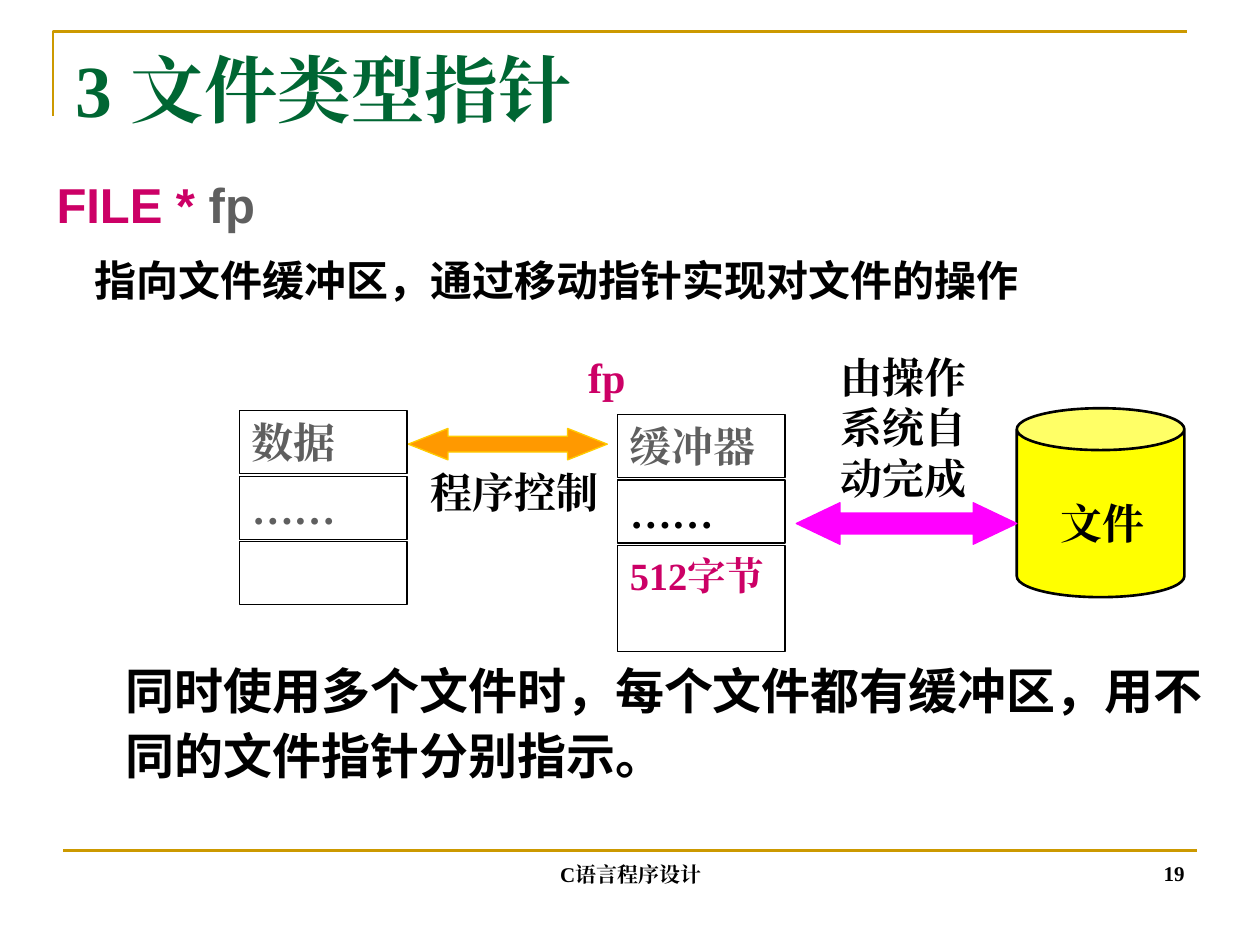
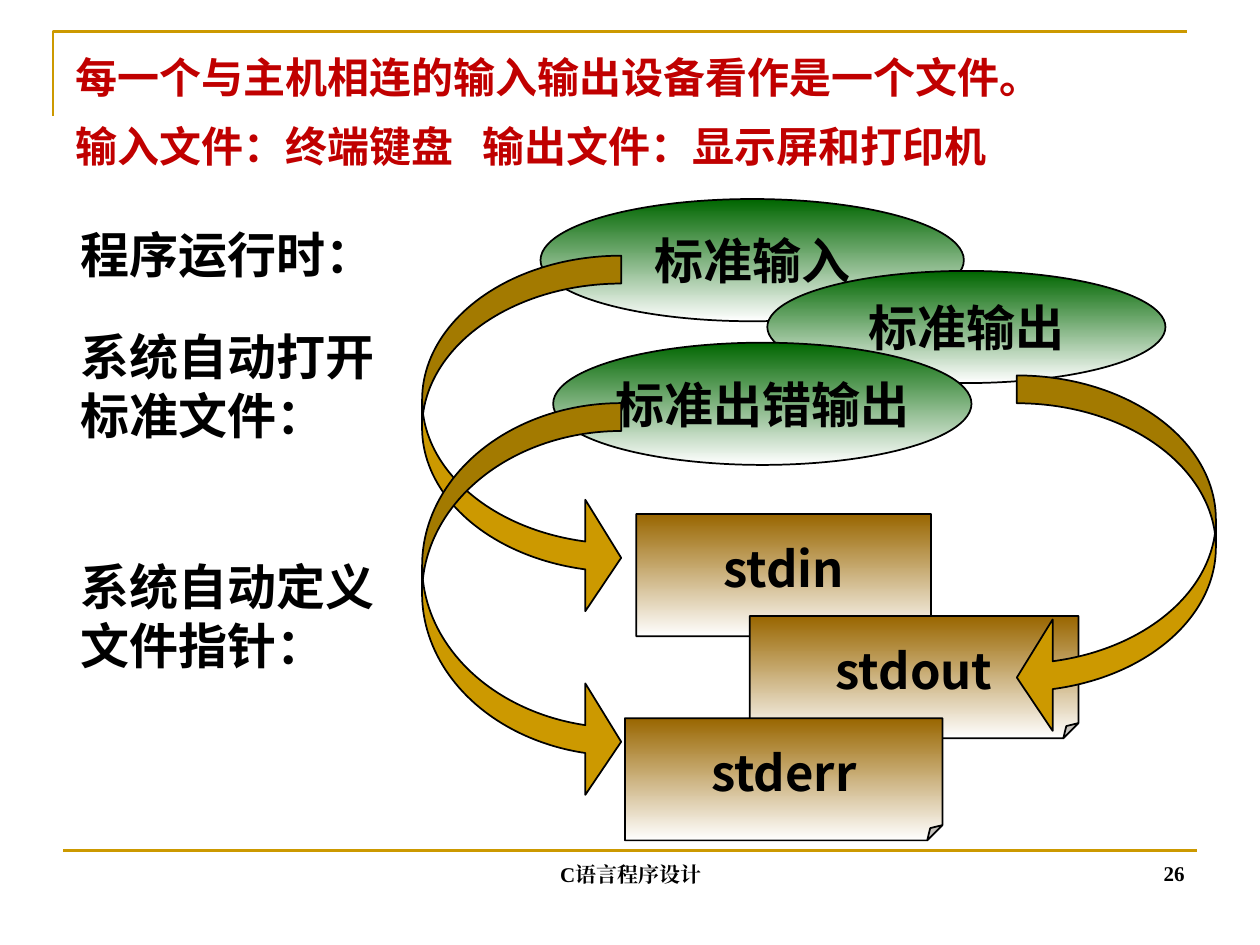
from lxml.etree import SubElement
from pptx import Presentation
from pptx.dml.color import RGBColor
from pptx.enum.shapes import MSO_SHAPE
from pptx.enum.text import MSO_ANCHOR, MSO_AUTO_SIZE, PP_ALIGN
from pptx.oxml.ns import qn
from pptx.util import Inches, Pt

GOLD, GREEN, PINK, GREY, BLACK = "CC9900", "006633", "CC0066", "5F5F5F", "000000"
RED, YELLOW, ORANGE, AMBER, MAGENTA = "C00000", "FFFF00", "FF9900", "FFCC00", "FF00FF"
ELLIPSE_GREEN, NOTE_BROWN = "006600", "996600"
SERIF, SANS, CJK = "Times New Roman", "Arial", "Noto Sans CJK SC"


def rgb(color):
    return RGBColor.from_string(color)


def inches(box):
    return [Inches(v) for v in box]


def style_run(r, size, color, font):
    """Bold run with one typeface for Latin and East Asian text."""
    r.font.size, r.font.bold, r.font.name = Pt(size), True, font
    r.font.color.rgb = rgb(color)
    SubElement(r._r.get_or_add_rPr(), qn("a:ea"), typeface=font)


def write(sp, text, size=24, color=BLACK, font=SERIF, align=PP_ALIGN.LEFT,
          anchor=MSO_ANCHOR.TOP, wrap=True, spacing=None):
    tf = sp.text_frame
    tf.text = text
    tf.word_wrap, tf.vertical_anchor = wrap, anchor
    tf.auto_size = MSO_AUTO_SIZE.NONE
    for p in tf.paragraphs:
        p.alignment = align
        p.space_before = Pt(0)
        if spacing:
            p.line_spacing = spacing
        for r in p.runs:
            style_run(r, size, color, font)
    return tf


def add_text(s, box, text, **style):
    return write(s.shapes.add_textbox(*inches(box)), text, **style)


def set_adjustments(sp, adj):
    """Write the preset's guides: adj alone, or adj1, adj2, ..."""
    guides = sp._element.spPr.find(qn("a:prstGeom")).get_or_add_avLst()
    for gd in list(guides):
        guides.remove(gd)
    for i, value in enumerate(adj, 1):
        name = f"adj{i}" if len(adj) > 1 else "adj"
        SubElement(guides, qn("a:gd"), name=name, fmla=f"val {round(value * 100000)}")


def add_shape(s, kind, box, fill=None, line=BLACK, width=0.75, adj=()):
    sp = s.shapes.add_shape(kind, *inches(box))
    sp.shadow.inherit = False
    if fill:
        sp.fill.solid()
        sp.fill.fore_color.rgb = rgb(fill)
    else:
        sp.fill.background()
    sp.line.color.rgb = rgb(line)
    sp.line.width = Pt(width)
    if adj:
        set_adjustments(sp, adj)
    return sp


def set_title(s, box, text, **style):
    sp = s.shapes.title
    sp.left, sp.top, sp.width, sp.height = inches(box)
    write(sp, text, **style)


def new_slide(prs, number):
    """Slide with the shared corner rule, bottom rule and footer."""
    s = prs.slides.add_slide(prs.slide_layouts[5])
    builder = s.shapes.build_freeform(Inches(0.42), Inches(0.92))
    builder.add_line_segments([inches(pt) for pt in ((0.42, 0.25), (9.42, 0.25))],
                              close=False)
    corner = builder.convert_to_shape()
    corner.shadow.inherit = False
    corner.fill.background()
    rule = s.shapes.add_connector(1, *inches((0.5, 6.75, 9.5, 6.75)))
    for sp in (corner, rule):
        sp.line.color.rgb = rgb(GOLD)
        sp.line.width = Pt(1.5)
    SubElement(rule._element.spPr, qn("a:effectLst"))
    add_text(s, (3.42, 6.59, 3.17, 0.5), "C语言程序设计", size=12,
             align=PP_ALIGN.CENTER, anchor=MSO_ANCHOR.BOTTOM)
    add_text(s, (7.17, 6.58, 2.33, 0.5), str(number), size=12,
             align=PP_ALIGN.RIGHT, anchor=MSO_ANCHOR.BOTTOM)
    return s


def pointer_declaration(s, box):
    tf = add_text(s, box, "FILE * ", size=28, color=PINK, font=SANS, spacing=0.9)
    r = tf.paragraphs[0].add_run()
    r.text = "fp"
    style_run(r, 28, GREY, SANS)
    p = tf.add_paragraph()
    p.text = "指向文件缓冲区，通过移动指针实现对文件的操作"
    p.line_spacing, p.space_before = 1.2, Pt(6)
    p._p.get_or_add_pPr().set("marL", str(Inches(0.3)))
    style_run(p.runs[0], 24, BLACK, SANS)


def memory_column(s, x, y, cells):
    """Stacked cells, each given as text, colour, size and height."""
    for i, (text, color, size, height) in enumerate(cells):
        sp = add_shape(s, MSO_SHAPE.RECTANGLE, (x, y + 0.52 * i, 1.33, height))
        if text:
            write(sp, text, size=size, color=color)


def buffer_diagram(s, x, y):
    # File cylinder and the two transfer arrows
    add_shape(s, MSO_SHAPE.CAN, (x + 6.17, y + 0.5, 1.33, 1.5), YELLOW,
              width=1.5, adj=[0.25])
    add_shape(s, MSO_SHAPE.LEFT_RIGHT_ARROW, (x + 4.42, y + 1.25, 1.75, 0.33),
              MAGENTA, MAGENTA, adj=[0.5, 1.05])
    add_shape(s, MSO_SHAPE.LEFT_RIGHT_ARROW, (x + 1.34, y + 0.66, 1.58, 0.25),
              ORANGE, AMBER, adj=[0.5, 1.26])
    # Data and buffer
    memory_column(s, x, y + 0.52, [("数据", GREY, 24, 0.5), ("……", GREY, 24, 0.5),
                                   ("", GREY, 24, 0.5)])
    memory_column(s, x + 3, y + 0.55, [("缓冲器", GREY, 24, 0.5),
                                       ("……", BLACK, 24, 0.5),
                                       ("512字节", PINK, 22, 0.84)])
    # Labels
    for dx, dy, w, h, text, color in (
            (6.42, 1.16, 0.92, 0.5, "文件", BLACK),
            (4.67, 0, 1.42, 1.3, "由操作系统自动完成", BLACK),
            (1.42, 0.91, 1.67, 0.5, "程序控制", BLACK),
            (2.67, 0, 0.58, 0.5, "fp", PINK)):
        add_text(s, (x + dx, y + dy, w, h), text, color=color)


def file_pointer_slide(prs):
    s = new_slide(prs, 19)
    set_title(s, (0.5, 0.3, 9, 1.25), "3 文件类型指针", size=42, color=GREEN)
    pointer_declaration(s, (0.35, 1.39, 9.21, 1.26))
    buffer_diagram(s, 1.9, 2.74)
    add_text(s, (0.9, 5.15, 8.75, 1.13),
             "同时使用多个文件时，每个文件都有缓冲区，用不同的文件指针分别指示。",
             size=28, font=SANS, spacing=1.1)


def device_statement(s, x, y):
    add_text(s, (x, y, 8.5, 0.5), "每一个与主机相连的输入输出设备看作是一个文件。",
             color=RED, font=CJK)
    tf = add_text(s, (x, y + 0.55, 7.8, 0.5),
                  "输入文件：终端键盘\t输出文件：显示屏和打印机", color=RED, font=CJK)
    tabs = SubElement(tf.paragraphs[0]._p.get_or_add_pPr(), qn("a:tabLst"))
    SubElement(tabs, qn("a:tab"), pos=str(Inches(3.23)), algn="l")


def gradient_shapes(s, kind, x, y, color, font, items, adj=()):
    """Overlapping labelled shapes fading from a colour down to white."""
    for dx, dy, w, h, text in items:
        sp = add_shape(s, kind, (x + dx, y + dy, w, h), color, width=1, adj=adj)
        sp.fill.gradient()
        sp.fill.gradient_angle = 270
        for stop, (tint, pos) in zip(sp.fill.gradient_stops, ((color, 0), ("FFFFFF", 1))):
            stop.color.rgb = rgb(tint)
            stop.position = pos
        write(sp, text, size=28, font=font, align=PP_ALIGN.CENTER,
              anchor=MSO_ANCHOR.MIDDLE, wrap=False)


def mapping_arrows(s, x, y):
    """Curved arrows from each standard file to its pointer."""
    for kind, dx, dy, h in ((MSO_SHAPE.CURVED_RIGHT_ARROW, 0, 0, 2.84),
                            (MSO_SHAPE.CURVED_LEFT_ARROW, 4.72, 0.95, 2.84),
                            (MSO_SHAPE.CURVED_RIGHT_ARROW, 0, 1.17, 3.13)):
        add_shape(s, kind, (x + dx, y + dy, 1.58, h), GOLD, width=1,
                  adj=[0.14, 0.56, 0.18])


def standard_files_slide(prs):
    s = new_slide(prs, 26)
    set_title(s, (0.54, 1.64, 4.58, 0.83), "程序运行时：", size=28, font=SANS,
              spacing=1.2)
    for y, text in ((2.54, "系统自动打开\n标准文件："), (4.37, "系统自动定义\n文件指针：")):
        add_text(s, (0.54, y, 4.1, 1.04), text, size=28, font=SANS)
    gradient_shapes(s, MSO_SHAPE.OVAL, 4.29, 1.58, ELLIPSE_GREEN, SANS,
                    [(0, 0, 3.36, 0.97, "标准输入"),
                     (1.8, 0.57, 3.16, 0.89, "标准输出"),
                     (0.1, 1.14, 3.32, 0.97, "标准出错输出")])
    gradient_shapes(s, MSO_SHAPE.FOLDED_CORNER, 4.96, 4.08, NOTE_BROWN, CJK,
                    [(0.09, 0, 2.34, 0.97, "stdin"),
                     (0.99, 0.81, 2.61, 0.97, "stdout"),
                     (0, 1.62, 2.52, 0.97, "stderr")], adj=[0.125])
    mapping_arrows(s, 3.35, 2.03)
    device_statement(s, 0.5, 0.36)


def main():
    prs = Presentation()
    prs.slide_width, prs.slide_height = Inches(10), Inches(7.5)
    file_pointer_slide(prs)
    standard_files_slide(prs)
    prs.save("out.pptx")


if __name__ == "__main__":
    main()
